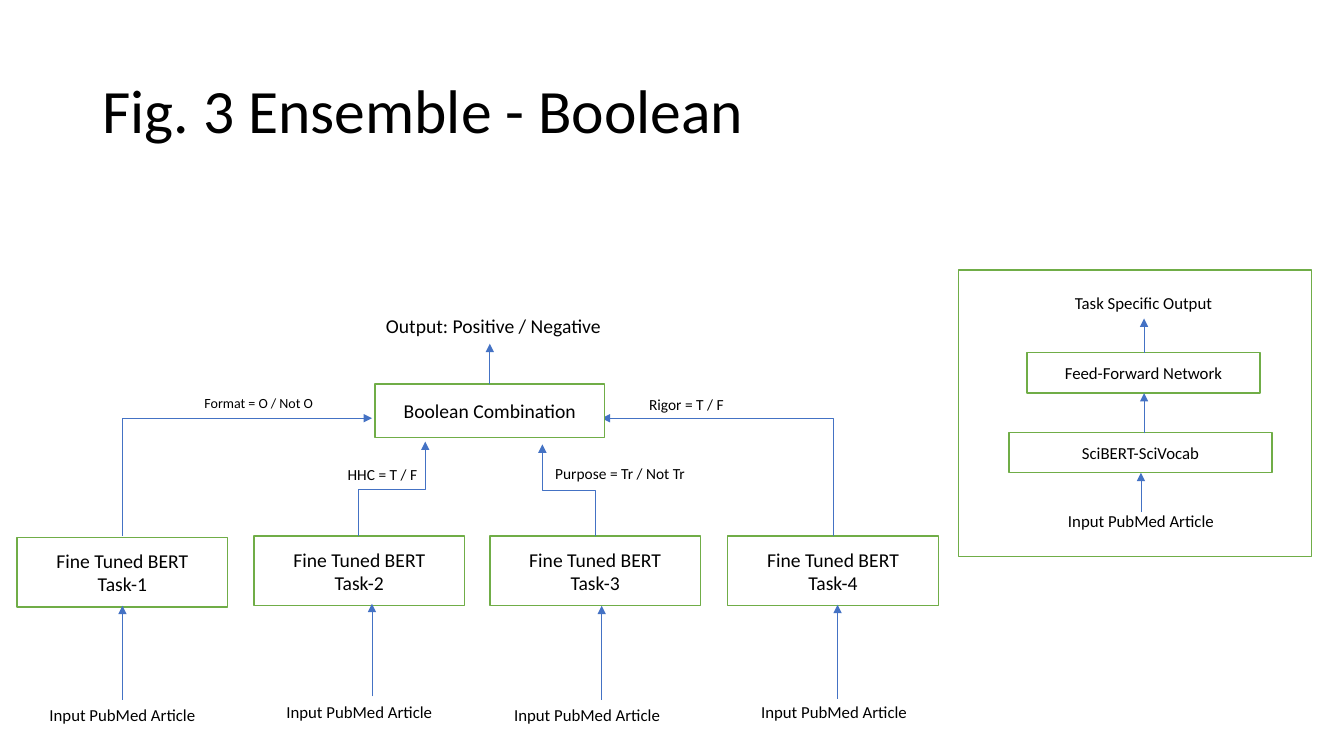
"""Build the slide showing the Boolean ensemble of fine-tuned BERT classifiers."""
import pptx
import pptx.dml.color
import pptx.enum.shapes
import pptx.enum.text
import pptx.oxml
import pptx.oxml.ns
import pptx.util

SLIDE_SIZE = (960, 540)
FONT = "Calibri"
WHITE, BLACK, GREEN, BLUE = "FFFFFF", "000000", "70AD47", "4472C4"

TITLE = ("Fig. 3 Ensemble - Boolean", 66.2, 28.8, 828, 104.4, 44)
INPUT = "Input PubMed Article"

PANEL = (684.7, 193, 252, 204.5)
PANEL_BOXES = [
    ("SciBERT-SciVocab", 720.7, 308.9, 187.9, 28.8),
    ("Feed-Forward Network", 733.7, 252, 166.3, 28.8),
]
PANEL_LABELS = [
    (INPUT, 741.6, 361.4, 146.9),
    ("Task Specific Output", 733.7, 205.9, 166.3),
]
PANEL_ARROWS = [(815, 365.8, 337.7), (817.2, 309.6, 280.8), (817.2, 252, 227.5)]

TASK_SIZE = (150.5, 49.7)
INPUT_WIDTH = 131.8
TASKS = [
    {"box": (12.2, 383.8), "label": (21.6, 499.7), "arrow": (87.5, 499.7, 432.7)},
    {"box": (181.4, 383), "label": (190.8, 497.5), "arrow": (265.7, 497.5, 431.3)},
    {"box": (349.9, 383), "label": (353.5, 499.7), "arrow": (429.8, 499.7, 432.7)},
    {"box": (519.8, 383), "label": (529.9, 497.5), "arrow": (598.3, 499, 432)},
]
ELBOWS = [
    ("bentConnector2", (87.5, 383), (265.7, 298.8)),
    ("bentConnector3", (256.3, 383), (303.8, 315.4)),
    ("bentConnector3", (425.5, 383), (387.4, 317.5)),
    ("bentConnector2", (595.4, 383), (429.8, 298.8)),
]

COMBINATION = ("Boolean Combination", 267.8, 274.3, 164.2, 38.2)
OUTPUT = ("Output: Positive / Negative", 265.7, 221, 173.5)
OUTPUT_ARROW = (349.9, 274.3, 245.5)
VOTES = [
    ("Format = O / Not O", 139, 278.6, 95.8, 10),
    ("HHC = T / F", 241.2, 329, 95, 11),
    ("Rigor = T / F", 456.5, 278.6, 95, 11),
    ("Purpose = Tr / Not Tr", 389.5, 328.3, 108, 11),
]

ALIGN = pptx.enum.text.PP_ALIGN
ANCHOR = pptx.enum.text.MSO_ANCHOR
CONNECTOR = pptx.enum.shapes.MSO_CONNECTOR

presentation = pptx.Presentation()
presentation.slide_width, presentation.slide_height = map(pptx.util.Pt, SLIDE_SIZE)
slide = presentation.slides.add_slide(presentation.slide_layouts[6])


def points(*values):
    return [pptx.util.Pt(value) for value in values]


def color(value):
    return pptx.dml.color.RGBColor.from_string(value)


def write(shape, lines, size, align, anchor):
    frame = shape.text_frame
    frame.word_wrap = True
    frame.vertical_anchor = anchor
    for index, line in enumerate(lines):
        paragraph = frame.add_paragraph() if index else frame.paragraphs[0]
        paragraph.alignment = align
        run = paragraph.add_run()
        run.text = line
        run.font.name = FONT
        run.font.size = pptx.util.Pt(size)
        run.font.color.rgb = color(BLACK)


def add_box(left, top, width, height, lines=(), size=12):
    box = slide.shapes.add_shape(
        pptx.enum.shapes.MSO_SHAPE.RECTANGLE, *points(left, top, width, height))
    box.shadow.inherit = False
    box.fill.solid()
    box.fill.fore_color.rgb = color(WHITE)
    box.line.color.rgb = color(GREEN)
    box.line.width = pptx.util.Pt(1)
    write(box, lines, size, ALIGN.CENTER, ANCHOR.MIDDLE)


def add_label(text, left, top, width, size=12, align=ALIGN.CENTER):
    label = slide.shapes.add_textbox(*points(left, top, width, size * 1.2 + 7.2))
    write(label, [text], size, align, ANCHOR.TOP)
    label.text_frame.auto_size = pptx.enum.text.MSO_AUTO_SIZE.SHAPE_TO_FIT_TEXT


def add_arrow(kind, left, top, right, bottom):
    arrow = slide.shapes.add_connector(kind, *points(left, top, right, bottom))
    arrow.line.color.rgb = color(BLUE)
    arrow.line.width = pptx.util.Pt(0.5)
    properties = arrow._element.spPr
    line = properties.find(pptx.oxml.ns.qn("a:ln"))
    namespace = pptx.oxml.ns.nsdecls("a")
    line.append(pptx.oxml.parse_xml(f'<a:tailEnd {namespace} type="triangle"/>'))
    properties.append(pptx.oxml.parse_xml(f"<a:effectLst {namespace}/>"))
    return properties


def add_upward_arrow(x, start, end):
    add_arrow(CONNECTOR.STRAIGHT, x, start, x, end)


def add_elbow(preset, start, end):
    """Draw an elbow that leaves its start upward, as a turned preset."""
    (start_x, start_y), (end_x, end_y) = start, end
    center_x, center_y = (start_x + end_x) / 2, (start_y + end_y) / 2
    half_width, half_height = abs(end_y - start_y) / 2, abs(end_x - start_x) / 2
    properties = add_arrow(
        CONNECTOR.ELBOW, center_x - half_width, center_y - half_height,
        center_x + half_width, center_y + half_height)
    properties.find(pptx.oxml.ns.qn("a:prstGeom")).set("prst", preset)
    transform = properties.find(pptx.oxml.ns.qn("a:xfrm"))
    goes_right = end_x > start_x
    transform.set("rot", str((90 if goes_right else 270) * 60000))
    transform.set("flipH", "1" if goes_right else "0")
    transform.set("flipV", "1")


add_box(*PANEL)
for name, *place in PANEL_BOXES:
    add_box(*place, [name])
for label in PANEL_LABELS:
    add_label(*label)
for arrow in PANEL_ARROWS:
    add_upward_arrow(*arrow)

for number, task in enumerate(TASKS, 1):
    add_box(*task["box"], *TASK_SIZE, ["Fine Tuned BERT", f"Task-{number}"], 14)
    add_label(INPUT, *task["label"], INPUT_WIDTH)
    add_upward_arrow(*task["arrow"])
for elbow in ELBOWS:
    add_elbow(*elbow)

combination_name, *combination_place = COMBINATION
add_box(*combination_place, [combination_name], 14)
add_upward_arrow(*OUTPUT_ARROW)
add_label(*OUTPUT, 14)
for vote in VOTES:
    add_label(*vote, ALIGN.LEFT)

title_text, *title_place, title_size = TITLE
title = slide.shapes.add_textbox(*points(*title_place))
write(title, [title_text], title_size, ALIGN.LEFT, ANCHOR.MIDDLE)
title.text_frame.paragraphs[0].line_spacing = 0.9

presentation.save("out.pptx")
